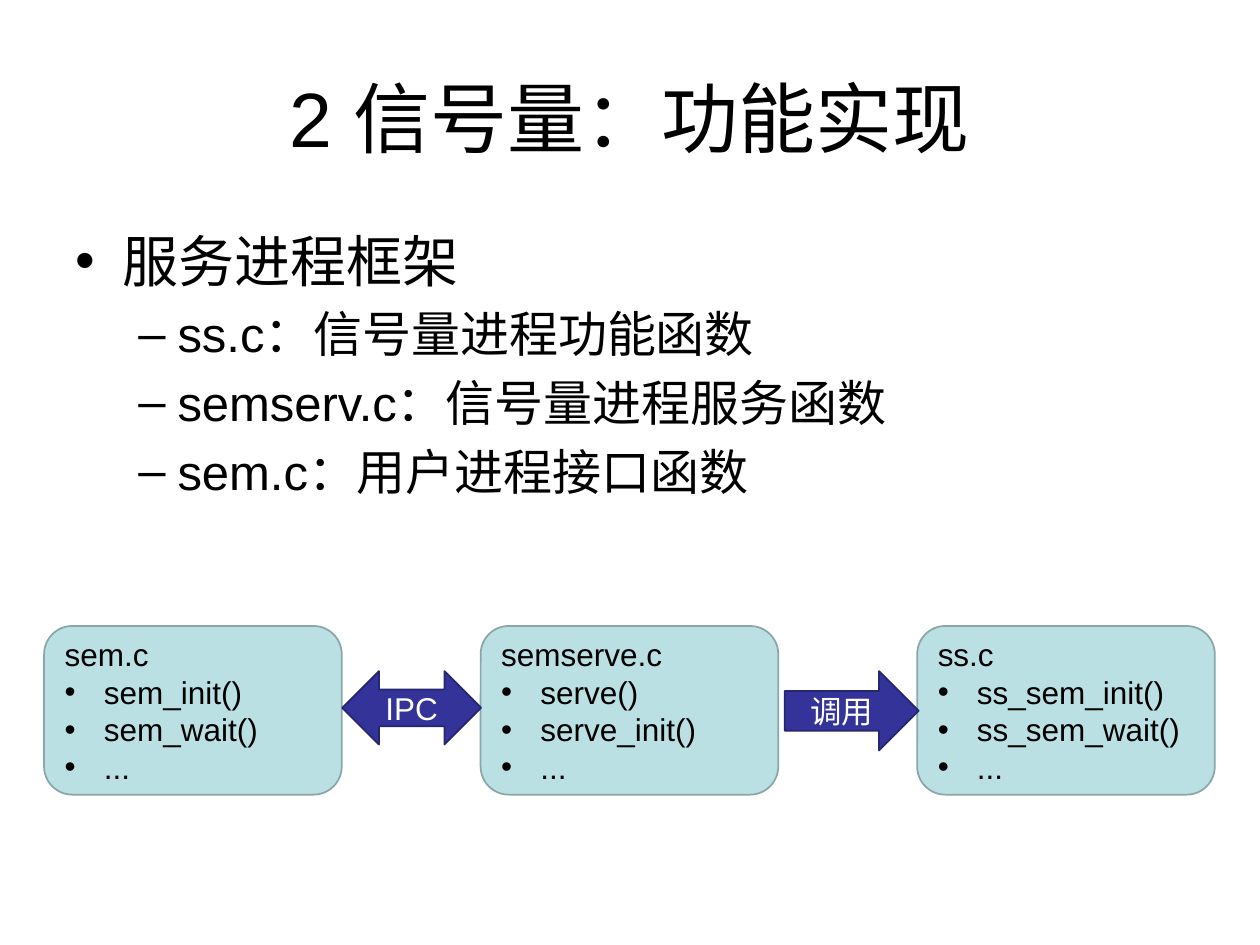
from lxml.etree import SubElement
from pptx import Presentation
from pptx.dml.color import RGBColor
from pptx.enum.shapes import MSO_SHAPE
from pptx.enum.text import MSO_ANCHOR, PP_ALIGN
from pptx.oxml.ns import qn
from pptx.util import Cm, Pt

COLORS = {
    "text": "000000", "white": "FFFFFF",
    "box": "BBE0E3", "box_line": "8AA6A8",
    "arrow": "333399", "arrow_line": "262671",
}
FONT = "Arial"

TITLE = "2 信号量：功能实现"
# (text, size, bullet, indent in cm, hanging in cm)
OUTLINE = [
    ("服务进程框架", 32, "•", 0.95, 0.95),
    ("ss.c：信号量进程功能函数", 28, "–", 2.06, 0.79),
    ("semserv.c：信号量进程服务函数", 28, "–", 2.06, 0.79),
    ("sem.c：用户进程接口函数", 28, "–", 2.06, 0.79),
]
MODULES = [
    ("sem.c", "sem_init()", "sem_wait()", "..."),
    ("semserve.c", "serve()", "serve_init()", "..."),
    ("ss.c", "ss_sem_init()", "ss_sem_wait()", "..."),
]
# (text, shape, left, width, height) in cm
ARROWS = [
    ("IPC", MSO_SHAPE.LEFT_RIGHT_ARROW, 6.9, 2.8, 1.48),
    ("调用", MSO_SHAPE.RIGHT_ARROW, 15.82, 2.7, 1.6),
]
BOX_LEFT, BOX_TOP, BOX_W, BOX_H, BOX_STEP = 0.89, 12.62, 6, 3.4, 8.8
ARROW_TOP = 13.53


def color(name):
    return RGBColor.from_string(COLORS[name])


def format_text(p, size, name="text", align=PP_ALIGN.LEFT):
    p.alignment = align
    for r in p.runs:
        r.font.size = Pt(size)
        r.font.name = FONT
        r.font.color.rgb = color(name)


def add_bullet(p, char, indent, hanging):
    pPr = p._p.get_or_add_pPr()
    pPr.set("marL", str(Cm(indent)))
    pPr.set("indent", str(-Cm(hanging)))
    SubElement(pPr, qn("a:buFont")).set("typeface", FONT)
    SubElement(pPr, qn("a:buChar")).set("char", char)


def add_text(s, left, top, width, height, text, anchor):
    tf = s.shapes.add_textbox(Cm(left), Cm(top), Cm(width), Cm(height)).text_frame
    tf.word_wrap = True
    tf.vertical_anchor = anchor
    tf.text = text
    return tf


def add_block(s, kind, left, top, width, height, style, text):
    sp = s.shapes.add_shape(kind, Cm(left), Cm(top), Cm(width), Cm(height))
    sp.shadow.inherit = False
    sp.fill.solid()
    sp.fill.fore_color.rgb = color(style)
    sp.line.color.rgb = color(style + "_line")
    sp.line.width = Pt(1)
    tf = sp.text_frame
    tf.vertical_anchor = MSO_ANCHOR.MIDDLE
    tf.text = text
    return tf


prs = Presentation()
prs.slide_width, prs.slide_height = Cm(25.4), Cm(19.05)
s = prs.slides.add_slide(prs.slide_layouts[6])

# Title
tf = add_text(s, 1.27, 0.76, 22.86, 3.18, TITLE, MSO_ANCHOR.MIDDLE)
format_text(tf.paragraphs[0], 44, align=PP_ALIGN.CENTER)

# Outline
tf = add_text(s, 1.27, 4.45, 22.86, 12.57,
              "\n".join(item[0] for item in OUTLINE), MSO_ANCHOR.TOP)
for p, (_, size, char, indent, hanging) in zip(tf.paragraphs, OUTLINE):
    format_text(p, size)
    p.space_before = Pt(size * 0.2)
    add_bullet(p, char, indent, hanging)

# Module boxes
for i, lines in enumerate(MODULES):
    tf = add_block(s, MSO_SHAPE.ROUNDED_RECTANGLE, BOX_LEFT + i * BOX_STEP,
                   BOX_TOP, BOX_W, BOX_H, "box", "\n".join(lines))
    for p in tf.paragraphs:
        format_text(p, 18)
    for p in tf.paragraphs[1:]:
        add_bullet(p, "•", 0.79, 0.79)

# Arrows between the modules
for text, kind, left, width, height in ARROWS:
    tf = add_block(s, kind, left, ARROW_TOP, width, height, "arrow", text)
    format_text(tf.paragraphs[0], 18, "white", PP_ALIGN.CENTER)

prs.save("out.pptx")
